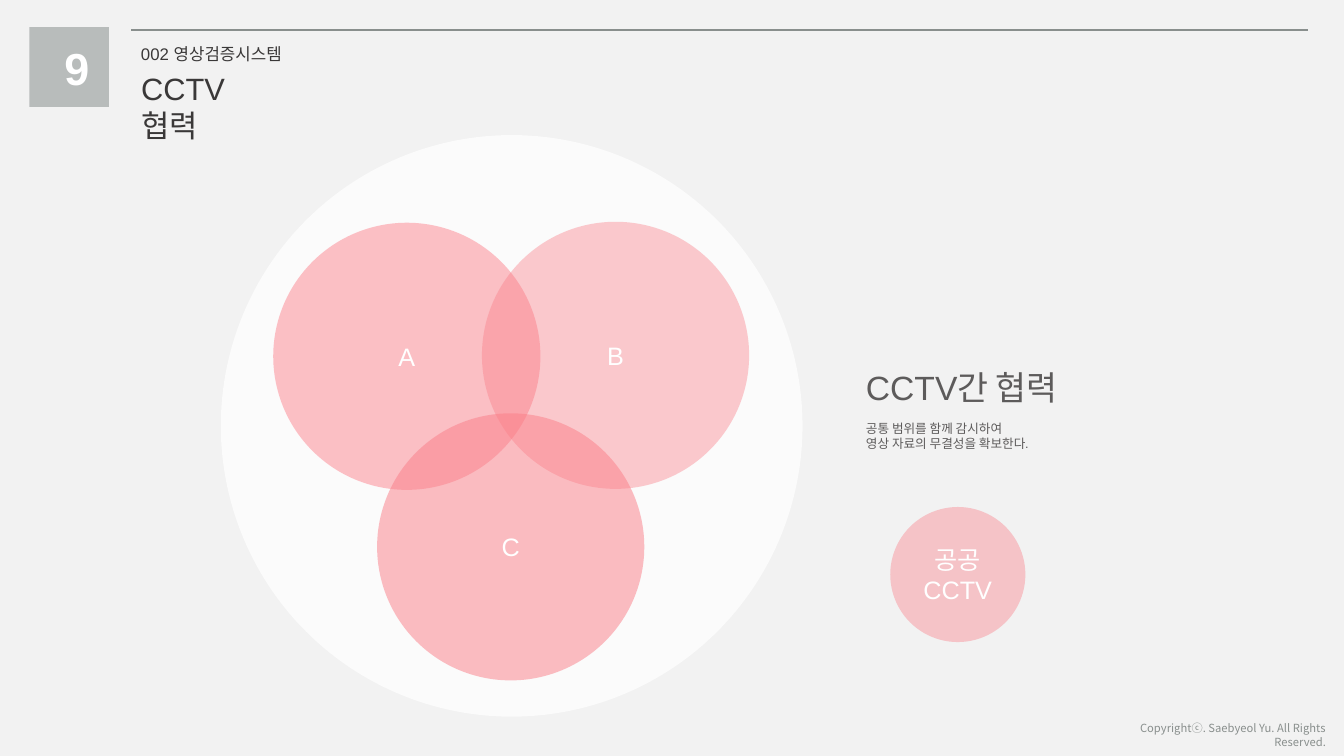
import dataclasses

import lxml.etree
import pptx
import pptx.dml.color
import pptx.enum.shapes
import pptx.enum.text
import pptx.oxml.ns
import pptx.util

SHAPE = pptx.enum.shapes.MSO_SHAPE
ALIGN = pptx.enum.text.PP_ALIGN
ANCHOR = pptx.enum.text.MSO_ANCHOR
CELLS_PER_INCH = 10


@dataclasses.dataclass(frozen=True)
class Theme:
    """Colours, fonts and type sizes of the deck."""
    page: str = "F2F2F2"
    white: str = "FFFFFF"
    rose: str = "FA7D87"
    blush: str = "FCB1B7"
    badge: str = "B8BCBB"
    rule: str = "898F8D"
    heading: str = "3A3838"
    body: str = "5D5B5B"
    font: str = "Arial"
    credit_font: str = "Noto Sans CJK KR"
    credit_size: int = 8
    body_size: int = 9
    section_size: int = 12
    label_size: int = 18
    title_size: int = 22
    topic_size: int = 24
    number_size: int = 32


@dataclasses.dataclass(frozen=True)
class Box:
    """A rectangle measured in grid cells."""
    left: float
    top: float
    width: float
    height: float

    def inner(self, left, top, width, height):
        """Return a box placed relative to this one."""
        return Box(self.left + left, self.top + top, width, height)

    def lengths(self):
        """Return left, top, width and height as slide lengths."""
        return [pptx.util.Inches(cells / CELLS_PER_INCH) for cells in dataclasses.astuple(self)]


THEME = Theme()


def rgb(colour):
    """Turn a hex string into a colour."""
    return pptx.dml.color.RGBColor.from_string(colour)


def write_text(shape, text, size, colour, font=THEME.font, bold=False,
               align=ALIGN.LEFT, anchor=ANCHOR.TOP):
    """Write one paragraph per line of text in the given format."""
    frame = shape.text_frame
    frame.word_wrap = True
    frame.auto_size = pptx.enum.text.MSO_AUTO_SIZE.NONE
    frame.vertical_anchor = anchor
    frame.text = text
    for para in frame.paragraphs:
        para.alignment = align
        for span in para.runs:
            span.font.name = font
            span.font.size = pptx.util.Pt(size)
            span.font.bold = bold
            span.font.color.rgb = rgb(colour)


def add_text(page, box, text, **style):
    """Add a text box."""
    write_text(page.shapes.add_textbox(*box.lengths()), text, **style)


def add_filled(page, kind, box, colour, opacity=100):
    """Add a borderless shape with a fill of the given opacity in percent."""
    shape = page.shapes.add_shape(kind, *box.lengths())
    shape.shadow.inherit = False
    shape.line.fill.background()
    shape.fill.solid()
    shape.fill.fore_color.rgb = rgb(colour)
    if opacity < 100:
        solid = shape._element.spPr.find(pptx.oxml.ns.qn("a:solidFill"))
        alpha = lxml.etree.SubElement(solid[0], pptx.oxml.ns.qn("a:alpha"))
        alpha.set("val", str(opacity * 1000))
    return shape


def add_labelled_circle(page, box, label, colour, opacity):
    """Add a translucent circle with a centred white label."""
    circle = add_filled(page, SHAPE.OVAL, box, colour, opacity)
    write_text(circle, label, size=THEME.label_size, colour=THEME.white,
               align=ALIGN.CENTER, anchor=ANCHOR.MIDDLE)


def add_header(page, box, number, section, title):
    """Add the rule, the numbered badge, the section name and the title."""
    left, top, width, _ = box.inner(10.1, 0.3, 116.7, 0).lengths()
    rule = page.shapes.add_connector(
        pptx.enum.shapes.MSO_CONNECTOR.STRAIGHT, left, top, left + width, top)
    rule.line.color.rgb = rgb(THEME.rule)
    rule.line.width = pptx.util.Pt(1.5)
    lxml.etree.SubElement(rule._element.spPr, pptx.oxml.ns.qn("a:effectLst"))

    add_filled(page, SHAPE.RECTANGLE, box.inner(0, 0, 7.9, 7.9), THEME.badge)
    add_text(page, box.inner(2.5, 0.8, 2.8, 6.4), number, size=THEME.number_size,
             colour=THEME.white, bold=True, align=ALIGN.CENTER)
    add_text(page, box.inner(10.1, 1.1, 20, 3), section,
             size=THEME.section_size, colour=THEME.heading)

    heading = page.shapes.title
    heading.left, heading.top, heading.width, heading.height = box.inner(10.1, 3.7, 15, 8.3).lengths()
    write_text(heading, title, size=THEME.title_size, colour=THEME.heading)


def add_venn(page, box):
    """Add three overlapping circles on a pale disc."""
    add_filled(page, SHAPE.OVAL, box, THEME.white, 70)
    circles = [
        ("A", 5.2, 8.7, THEME.blush, 80),
        ("B", 25.9, 8.6, THEME.rose, 40),
        ("C", 15.5, 27.6, THEME.rose, 50),
    ]
    for label, left, top, colour, opacity in circles:
        add_labelled_circle(page, box.inner(left, top, 26.5, 26.5), label, colour, opacity)


def add_explanation(page, box):
    """Add the topic, its description and the legend circle."""
    add_text(page, box.inner(0, 0, box.width, 5), "CCTV간 협력",
             size=THEME.topic_size, colour=THEME.body)
    add_text(page, box.inner(0, 5.4, box.width, 4),
             "공통 범위를 함께 감시하여\n영상 자료의 무결성을 확보한다.",
             size=THEME.body_size, colour=THEME.body, align=ALIGN.JUSTIFY)
    add_labelled_circle(page, box.inner(3.4, 14.4, 13.4, 13.4), "공공\nCCTV", THEME.rose, 40)


def add_credit(page, box):
    """Add the copyright line."""
    add_text(page, box, "Copyrightⓒ. Saebyeol Yu. All Rights Reserved.",
             size=THEME.credit_size, colour=THEME.rule, font=THEME.credit_font,
             align=ALIGN.RIGHT)


def main():
    """Build and save the deck."""
    deck = pptx.Presentation()
    deck.slide_width = pptx.util.Inches(13.33)
    deck.slide_height = pptx.util.Inches(7.5)
    page = deck.slides.add_slide(deck.slide_layouts.get_by_name("Title Only"))
    page.background.fill.solid()
    page.background.fill.fore_color.rgb = rgb(THEME.page)
    add_credit(page, Box(108, 71.1, 24.5, 2.4))
    add_venn(page, Box(21.9, 13.4, 57.7, 57.7))
    add_header(page, Box(2.9, 2.7, 126.8, 12), "9", "002 영상검증시스템", "CCTV 협력")
    add_explanation(page, Box(84.9, 35.9, 25.8, 27.8))
    deck.save("out.pptx")


if __name__ == "__main__":
    main()
